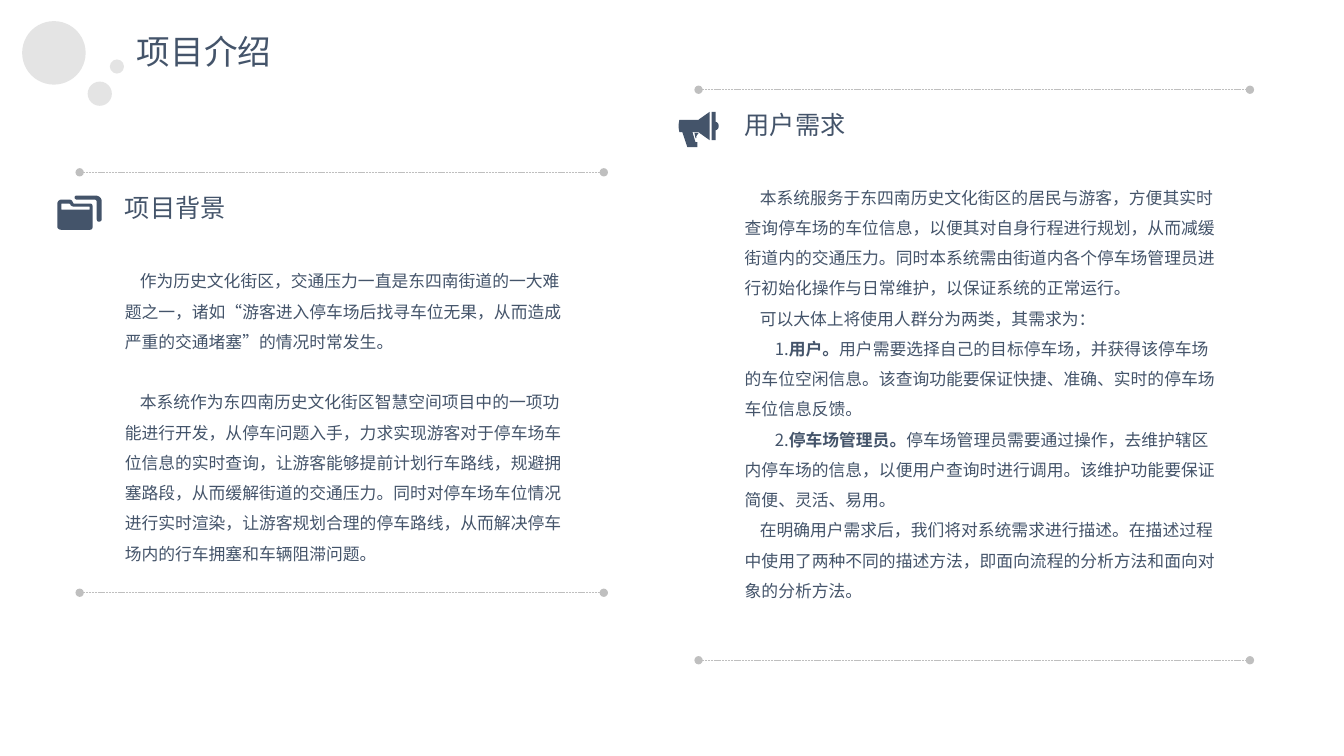
from pptx import Presentation
from pptx.dml.color import RGBColor
from pptx.enum import dml, shapes, text
from pptx.oxml import ns, xmlchemy as xc
from pptx.util import Pt

FONT = "Noto Sans CJK SC"
HUES = {"ink": "44546A", "line": "BFBFBF", "dot": "D9D9D9"}
STEP = 21.6
INDENT = 10.75

BUBBLES = [(15.84, 15.12, 45.36), (62.64, 58.32, 17.28), (78.48, 42.48, 10.08)]
RULES = [(56.9, 431.3, 123.1), (56.9, 431.3, 423.4),
         (499, 892.8, 64.1), (499, 892.8, 471.6)]

FOLDER = [
    [(43.9, 145.4), (43.9, 149.8), (64.1, 149.8), (64.1, 147.6), (52.6, 147.6),
     (51.8, 147.6, 50.4, 146.9, 50.4, 146.2), (49.7, 145.4)],
    [(43.9, 142.6), (49.7, 142.6), (50.4, 142.6, 51.8, 143.3, 51.8, 144),
     (52.6, 145.4), (64.1, 145.4), (65.5, 145.4, 66.2, 146.2, 66.2, 147.6),
     (66.2, 162), (66.2, 163.4, 65.5, 164.2, 64.1, 164.2), (43.9, 164.2),
     (42.5, 164.2, 41, 163.4, 41, 162), (41, 145.4),
     (41, 144, 42.5, 142.6, 43.9, 142.6)],
    [(54.7, 139.7), (67.7, 139.7), (70.6, 139.7, 72.7, 141.1, 72.7, 144),
     (72.7, 156.2), (72.7, 157.7, 72, 158.4, 70.6, 158.4),
     (69.8, 158.4, 69.1, 157.7, 69.1, 156.2), (69.1, 144),
     (69.1, 143.3, 68.4, 142.6, 67.7, 142.6), (54.7, 142.6),
     (54, 142.6, 53.3, 141.8, 53.3, 141.1),
     (53.3, 140.4, 54, 139.7, 54.7, 139.7)],
]
HORN = [
    [(485.3, 85.7), (499, 85.7), (499.7, 85), (506.9, 79.9), (506.9, 100.1),
     (499.7, 95), (499, 94.3), (494.6, 94.3), (496.8, 101.5), (498.2, 101.5),
     (498.2, 105.1), (491, 105.1), (487.4, 94.3), (485.3, 94.3),
     (484.6, 91.4, 484.6, 88.6, 485.3, 85.7)],
    [(511.2, 87.1), (512.6, 87.1, 513.4, 88.6, 513.4, 90),
     (513.4, 91.4, 512.6, 92.9, 511.2, 92.9), (511.2, 100.1),
     (508.3, 100.1), (508.3, 79.9), (511.2, 79.9)],
    [(499, 95), (496.1, 95), (496.8, 98.6), (497.5, 98.6), (497.5, 97.2)],
]

GOALS = [
    (1, 0, ["作为历史文化街区，交通压力一直是东四南街道的一大难题之一，诸如“游客进入停车场后找寻车位无果，从而造成严重的交通堵塞”的情况时常发生。"]),
    (1, STEP, ["本系统作为东四南历史文化街区智慧空间项目中的一项功能进行开发，从停车问题入手，力求实现游客对于停车场车位信息的实时查询，让游客能够提前计划行车路线，规避拥塞路段，从而缓解街道的交通压力。同时对停车场车位情况进行实时渲染，让游客规划合理的停车路线，从而解决停车场内的行车拥塞和车辆阻滞问题。"]),
]
NEEDS = [
    (1, 0, ["本系统服务于东四南历史文化街区的居民与游客，方便其实时查询停车场的车位信息，以便其对自身行程进行规划，从而减缓街道内的交通压力。同时本系统需由街道内各个停车场管理员进行初始化操作与日常维护，以保证系统的正常运行。"]),
    (1, 0, ["可以大体上将使用人群分为两类，其需求为："]),
    (2, 0, ["1.", "用户。", "用户需要选择自己的目标停车场，并获得该停车场的车位空闲信息。该查询功能要保证快捷、准确、实时的停车场车位信息反馈。"]),
    (2, 0, ["2.", "停车场管理员。", "停车场管理员需要通过操作，去维护辖区内停车场的信息，以便用户查询时进行调用。该维护功能要保证简便、灵活、易用。"]),
    (1, 0, ["在明确用户需求后，我们将对系统需求进行描述。在描述过程中使用了两种不同的描述方法，即面向流程的分析方法和面向对象的分析方法。"]),
]


def hue(name):
    return RGBColor.from_string(HUES[name])


def add(node, tag, **attrs):
    child = xc.OxmlElement(tag)
    for key, val in attrs.items():
        child.set(key, val)
    node.append(child)
    return child


def paint(shape, name):
    shape.shadow.inherit = False
    shape.fill.solid()
    shape.fill.fore_color.rgb = hue(name)
    shape.line.fill.background()


def add_dot(slide, x, y, size):
    dot = slide.shapes.add_shape(
        shapes.MSO_SHAPE.FLOWCHART_CONNECTOR, Pt(x), Pt(y), Pt(size), Pt(size))
    paint(dot, "dot")
    tint = dot._element.spPr.find(".//" + ns.qn("a:srgbClr"))
    add(tint, "a:alpha", val="70000")


def add_rule(slide, left, right, y):
    rule = slide.shapes.add_connector(
        shapes.MSO_CONNECTOR.STRAIGHT, Pt(left), Pt(y), Pt(right), Pt(y))
    rule.line.color.rgb = hue("line")
    rule.line.width = Pt(0.5)
    rule.line.dash_style = dml.MSO_LINE.SQUARE_DOT
    edge = rule.line._get_or_add_ln()
    for tag in ("a:headEnd", "a:tailEnd"):
        add(edge, tag, type="oval")
    add(rule._element.spPr, "a:effectLst")


def trace(loop):
    pen = loop[0]
    points = [pen]
    for item in loop[1:]:
        if len(item) == 6:
            ax, ay, bx, by, cx, cy = item
            for i in range(1, 9):
                t = i / 8
                u = 1 - t
                w = (u ** 3, 3 * u * u * t, 3 * u * t * t, t ** 3)
                points.append(tuple(
                    sum(a * b for a, b in zip(w, axis))
                    for axis in ((pen[0], ax, bx, cx), (pen[1], ay, by, cy))))
        else:
            points.append(item)
        pen = item[-2:]
    return [(Pt(x), Pt(y)) for x, y in points]


def add_icon(slide, loops):
    lines = [trace(loop) for loop in loops]
    form = slide.shapes.build_freeform(*lines[0][0])
    for i, line in enumerate(lines):
        if i:
            form.move_to(*line[0])
        form.add_line_segments(line[1:], close=True)
    paint(form.convert_to_shape(), "ink")


def add_run(para, words, size, bold=False):
    run = para.add_run()
    run.text = words
    run.font.size = Pt(size)
    run.font.bold = bold
    run.font.color.rgb = hue("ink")
    run.font.name = FONT
    add(run._r.get_or_add_rPr(), "a:ea", typeface=FONT)


def add_box(slide, x, y, wide, high, wrap=True):
    box = slide.shapes.add_textbox(Pt(x), Pt(y), Pt(wide), Pt(high))
    frame = box.text_frame
    frame.word_wrap = wrap
    frame.auto_size = text.MSO_AUTO_SIZE.SHAPE_TO_FIT_TEXT
    return frame


def add_head(slide, x, y, wide, high, words, size, wrap=True):
    frame = add_box(slide, x, y, wide, high, wrap)
    add_run(frame.paragraphs[0], words, size)


def add_body(slide, x, y, wide, high, paras):
    frame = add_box(slide, x, y, wide, high)
    frame.margin_top = Pt(3.6 + STEP)
    for i, (level, gap, runs) in enumerate(paras):
        para = frame.add_paragraph() if i else frame.paragraphs[0]
        para.line_spacing = 1.5
        para.space_before = Pt(gap)
        para._p.get_or_add_pPr().set("indent", str(Pt(INDENT * level)))
        for j, words in enumerate(runs):
            add_run(para, words, 12, j == 1)


def main():
    deck = Presentation()
    deck.slide_width, deck.slide_height = Pt(960), Pt(540)
    slide = deck.slides.add_slide(deck.slide_layouts[6])
    for bubble in BUBBLES:
        add_dot(slide, *bubble)
    add_head(slide, 90.7, 18.7, 111.6, 36, "项目介绍", 24, False)
    add_head(slide, 82.1, 133.9, 282.2, 28.8, "项目背景", 18)
    add_body(slide, 82.1, 161.3, 333.4, 244.8, GOALS)
    add_icon(slide, FOLDER)
    add_head(slide, 524.9, 74.2, 282.2, 28.8, "用户需求", 18)
    add_body(slide, 524.9, 101.5, 352.8, 331.9, NEEDS)
    add_icon(slide, HORN)
    for rule in RULES:
        add_rule(slide, *rule)
    deck.save("out.pptx")


if __name__ == "__main__":
    main()
